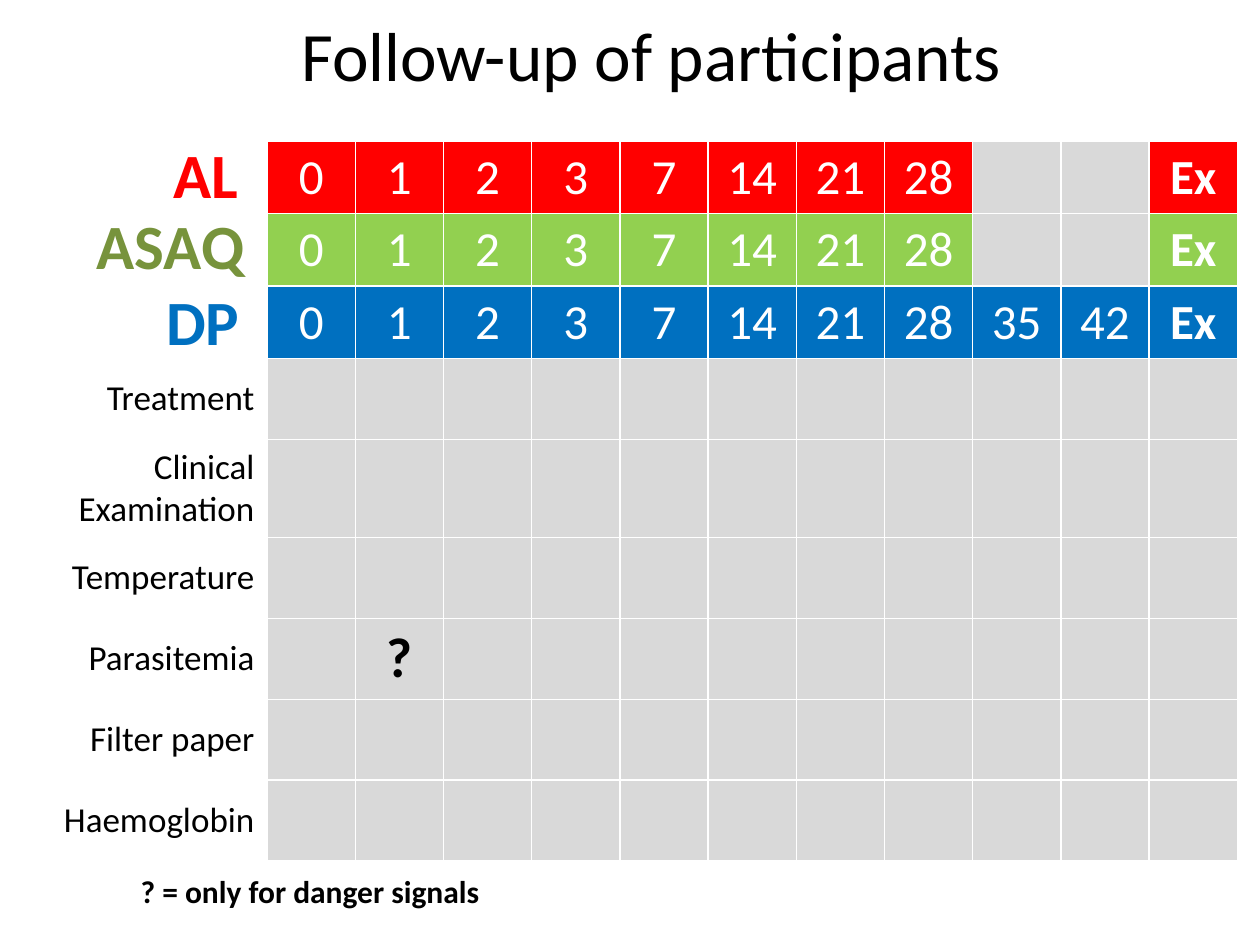
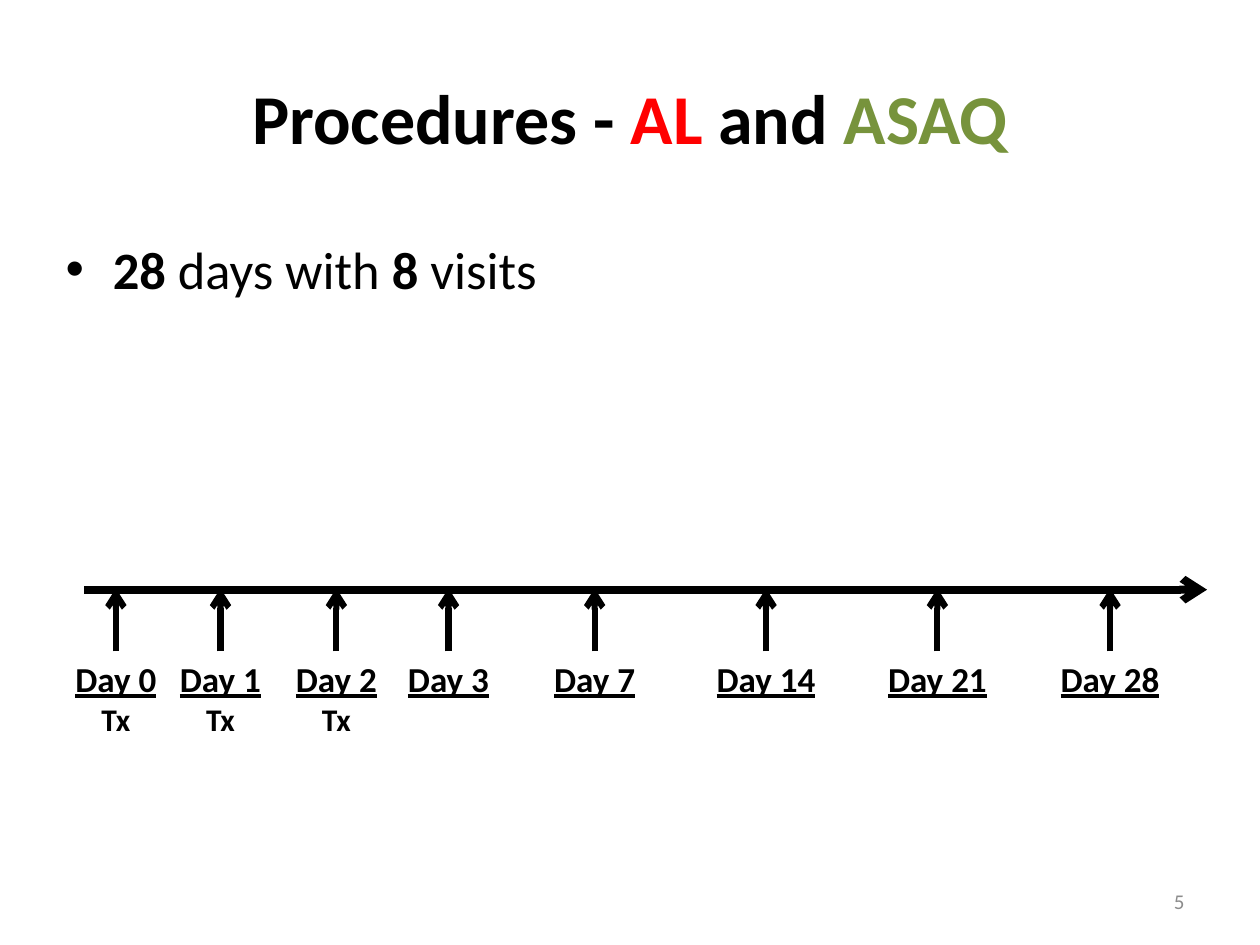
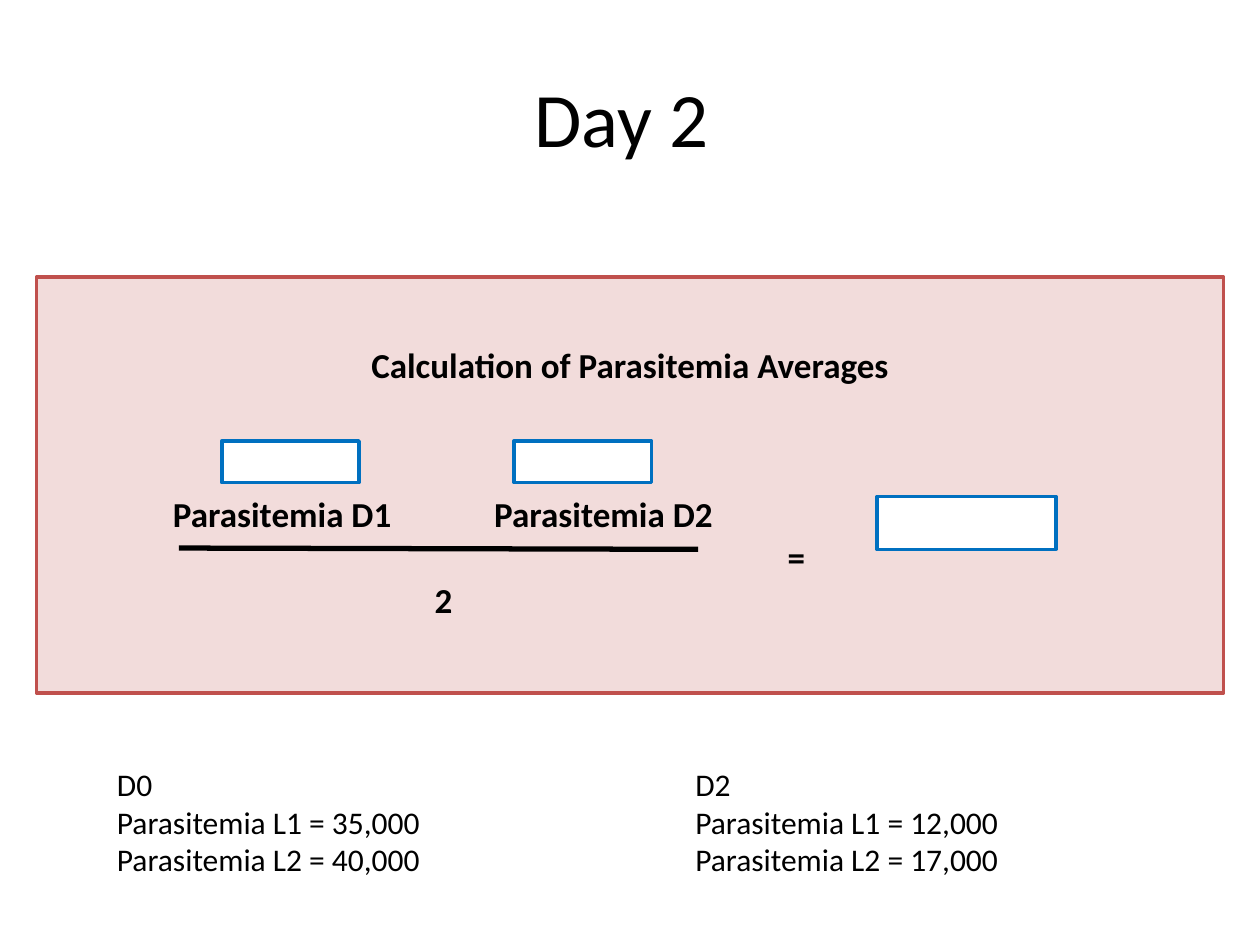
from lxml import etree
from pptx import Presentation
from pptx.dml.color import RGBColor
from pptx.enum.shapes import MSO_CONNECTOR, MSO_SHAPE
from pptx.enum.text import MSO_ANCHOR, MSO_AUTO_SIZE, PP_ALIGN
from pptx.oxml.ns import qn
from pptx.util import Inches, Pt

LEFT, CENTER, RIGHT = PP_ALIGN.LEFT, PP_ALIGN.CENTER, PP_ALIGN.RIGHT
MIDDLE = MSO_ANCHOR.MIDDLE
TOP_SIDE = 0
TITLE_ONLY, TITLE_AND_CONTENT = 5, 1
FONT = "Calibri"

BLACK = RGBColor(0x00, 0x00, 0x00)
WHITE = RGBColor(0xFF, 0xFF, 0xFF)
RED = RGBColor(0xFF, 0x00, 0x00)
LIME = RGBColor(0x92, 0xD0, 0x50)
OLIVE = RGBColor(0x77, 0x93, 0x3C)
BLUE = RGBColor(0x00, 0x70, 0xC0)
LIGHT_GRAY = RGBColor(0xD9, 0xD9, 0xD9)
NUMBER_GRAY = RGBColor(0x8C, 0x8C, 0x8C)
PINK = RGBColor(0xF2, 0xDC, 0xDB)
BRICK = RGBColor(0xC0, 0x50, 0x4D)


def format_run(run, size, color=BLACK, bold=False, underline=False):
    run.font.name = FONT
    run.font.size = Pt(size)
    run.font.color.rgb = color
    run.font.bold = bold
    run.font.underline = underline


def place(shape, left, top, width, height):
    shape.left, shape.top = Inches(left), Inches(top)
    shape.width, shape.height = Inches(width), Inches(height)


class Deck:
    """Holds the presentation, its style and the slide being filled."""

    def __init__(self):
        self.presentation = Presentation()
        self.presentation.slide_width = Inches(10)
        self.presentation.slide_height = Inches(7.5)
        self.slide = None

    def add_slide(self, layout):
        layouts = self.presentation.slide_layouts
        self.slide = self.presentation.slides.add_slide(layouts[layout])

    def fill_placeholder(self, shape, box, parts, size):
        """Write (text, color, bold) parts as the runs of one paragraph."""
        place(shape, *box)
        shape.text_frame.auto_size = MSO_AUTO_SIZE.NONE
        paragraph = shape.text_frame.paragraphs[0]
        for text, color, bold in parts:
            run = paragraph.add_run()
            run.text = text
            format_run(run, size, color, bold)

    def title(self, parts, size=44, box=(0.5, 0.3, 9, 1.25)):
        self.fill_placeholder(self.slide.shapes.title, box, parts, size)

    def bullet(self, parts, size, box):
        self.fill_placeholder(self.slide.placeholders[1], box, parts, size)

    def text(self, text, left, top, width, height, size=18, color=BLACK,
             bold=False, align=LEFT):
        shape = self.slide.shapes.add_textbox(
            Inches(left), Inches(top), Inches(width), Inches(height))
        frame = shape.text_frame
        frame.word_wrap = True
        frame.text = text
        for paragraph in frame.paragraphs:
            paragraph.alignment = align
            for run in paragraph.runs:
                format_run(run, size, color, bold)
        return shape

    def centered_label(self, text, center_x, center_y, width):
        height = 0.44
        self.text(text, center_x - width / 2, center_y - height / 2, width, height,
                  size=20, bold=True, align=CENTER)

    def rectangle(self, left, top, width, height, fill, line):
        shape = self.slide.shapes.add_shape(
            MSO_SHAPE.RECTANGLE, Inches(left), Inches(top), Inches(width), Inches(height))
        shape.shadow.inherit = False
        shape.fill.solid()
        shape.fill.fore_color.rgb = fill
        shape.line.color.rgb = line
        shape.line.width = Pt(2)

    def line(self, start, end, width, arrow=False):
        connector = self.slide.shapes.add_connector(
            MSO_CONNECTOR.STRAIGHT, *(Inches(value) for value in start + end))
        connector.line.color.rgb = BLACK
        connector.line.width = Pt(width)
        properties = connector._element.spPr
        if arrow:
            etree.SubElement(properties.find(qn("a:ln")), qn("a:tailEnd"), type="arrow")
        etree.SubElement(properties, qn("a:effectLst"))
        return connector

    def table(self, left, top, widths, heights):
        table = self.slide.shapes.add_table(
            len(heights), len(widths), Inches(left), Inches(top),
            Inches(sum(widths)), Inches(sum(heights))).table
        table.first_row = table.horz_banding = False
        for column, width in zip(table.columns, widths):
            column.width = Inches(width)
        for row, height in zip(table.rows, heights):
            row.height = Inches(height)
        return table

    def cell(self, cell, fill, text="", size=20, color=BLACK, bold=False, align=CENTER):
        properties = cell._tc.get_or_add_tcPr()
        for side in ("lnL", "lnR", "lnT", "lnB"):
            border = etree.SubElement(properties, qn(f"a:{side}"), w=str(Pt(1)))
            solid = etree.SubElement(border, qn("a:solidFill"))
            etree.SubElement(solid, qn("a:srgbClr"), val=str(WHITE))
        cell.fill.solid()
        cell.fill.fore_color.rgb = fill
        cell.vertical_anchor = MIDDLE
        if text:
            cell.text = text
            paragraph = cell.text_frame.paragraphs[0]
            paragraph.alignment = align
            format_run(paragraph.runs[0], size, color, bold)


def build_follow_up(deck):
    deck.add_slide(TITLE_ONLY)
    deck.title([("Follow-up of participants", BLACK, False)], 39.6, (0.67, 0.19, 9, 0.48))

    days = ["0", "1", "2", "3", "7", "14", "21", "28", "35", "42"]
    arms = [(RED, 8), (LIME, 8), (BLUE, 10)]
    procedures = ["Treatment", "Clinical Examination", "Temperature",
                  "Parasitemia", "Filter paper", "Haemoglobin"]
    heights = [0.57] * len(arms) + [0.78 if " E" in name else 0.64 for name in procedures]
    table = deck.table(0.18, 1.12, [1.94] + [0.7] * 11, heights)

    for row, (color, visit_count) in enumerate(arms):
        deck.cell(table.cell(row, 0), WHITE)
        for column, day in enumerate(days, 1):
            if column <= visit_count:
                deck.cell(table.cell(row, column), color, day, 28, WHITE)
            else:
                deck.cell(table.cell(row, column), LIGHT_GRAY)
        deck.cell(table.cell(row, 11), color, "Ex", 28, WHITE, bold=True)

    for row, procedure in enumerate(procedures, len(arms)):
        deck.cell(table.cell(row, 0), WHITE, procedure, align=RIGHT)
        for column in range(1, 12):
            mark = "?" if procedure == "Parasitemia" and column == 2 else ""
            deck.cell(table.cell(row, column), LIGHT_GRAY, mark, 32, bold=True)

    for name, color, left, top, width in [("AL", RED, 1.28, 1.03, 0.85),
                                          ("ASAQ", OLIVE, 0.67, 1.59, 1.5),
                                          ("DP", BLUE, 1.22, 2.19, 0.9)]:
        deck.text(name, left, top, width, 0.71, 36, color, bold=True)
    deck.text("? = only for danger signals ", 0.67, 6.87, 3.64, 0.4, bold=True, align=CENTER)


def build_procedures(deck):
    deck.add_slide(TITLE_AND_CONTENT)
    deck.title([("Procedures - ", BLACK, True), ("AL ", RED, True),
                ("and ", BLACK, True), ("ASAQ", OLIVE, True)], 40)
    deck.bullet([("28 ", BLACK, True), ("days with ", BLACK, False),
                 ("8 ", BLACK, True), ("visits", BLACK, False)],
                30, (0.42, 1.83, 8.75, 4.37))
    number = deck.text("5", 7.17, 6.95, 2.33, 0.4, 12, NUMBER_GRAY, align=RIGHT)
    number.text_frame.vertical_anchor = MIDDLE

    deck.line((0.67, 4.68), (9.58, 4.68), 4.5, arrow=True)
    visits = [(0, 0.92), (1, 1.75), (2, 2.67), (3, 3.56),
              (7, 4.72), (14, 6.08), (21, 7.44), (28, 8.81)]
    treatment_days = (0, 1, 2)
    for day, center in visits:
        treated = day in treatment_days
        label = deck.text(f"Day {day}\nTx" if treated else f"Day {day}",
                          center - 0.5, 5.17, 1, 0.74 if treated else 0.44,
                          bold=True, align=CENTER)
        format_run(label.text_frame.paragraphs[0].runs[0], 20, bold=True, underline=True)
        arrow = deck.line((center, 5.17), (center, 4.67), 3.5, arrow=True)
        arrow.begin_connect(label, TOP_SIDE)


def build_day_2(deck):
    deck.add_slide(TITLE_ONLY)
    deck.title([("Day 2 ", BLACK, False)])

    deck.rectangle(0.29, 2.2, 9.42, 3.3, PINK, BRICK)
    deck.centered_label("Calculation of Parasitemia Averages", 5, 2.9, 9.42)
    deck.centered_label("Parasitemia D1", 2.24, 4.08, 2.2)
    deck.centered_label("Parasitemia D2", 4.79, 4.08, 2.2)
    deck.centered_label("=", 6.32, 4.42, 0.5)
    deck.centered_label("2", 3.52, 4.76, 0.5)
    for left, top, width, height in [(1.76, 3.5, 1.09, 0.33),
                                     (4.08, 3.5, 1.09, 0.33),
                                     (6.96, 3.94, 1.42, 0.42)]:
        deck.rectangle(left, top, width, height, WHITE, BLUE)
    deck.line((1.42, 4.35), (5.54, 4.36), 3)

    for left, day, first, second in [(0.83, "D0", "35,000", "40,000"),
                                     (5.42, "D2", "12,000", "17,000")]:
        deck.text(f"{day}\nParasitemia L1 = {first}\nParasitemia L2 = {second}",
                  left, 6.02, 2.8, 1.01)


def main():
    deck = Deck()
    build_follow_up(deck)
    build_procedures(deck)
    build_day_2(deck)
    deck.presentation.save("out.pptx")


if __name__ == "__main__":
    main()
